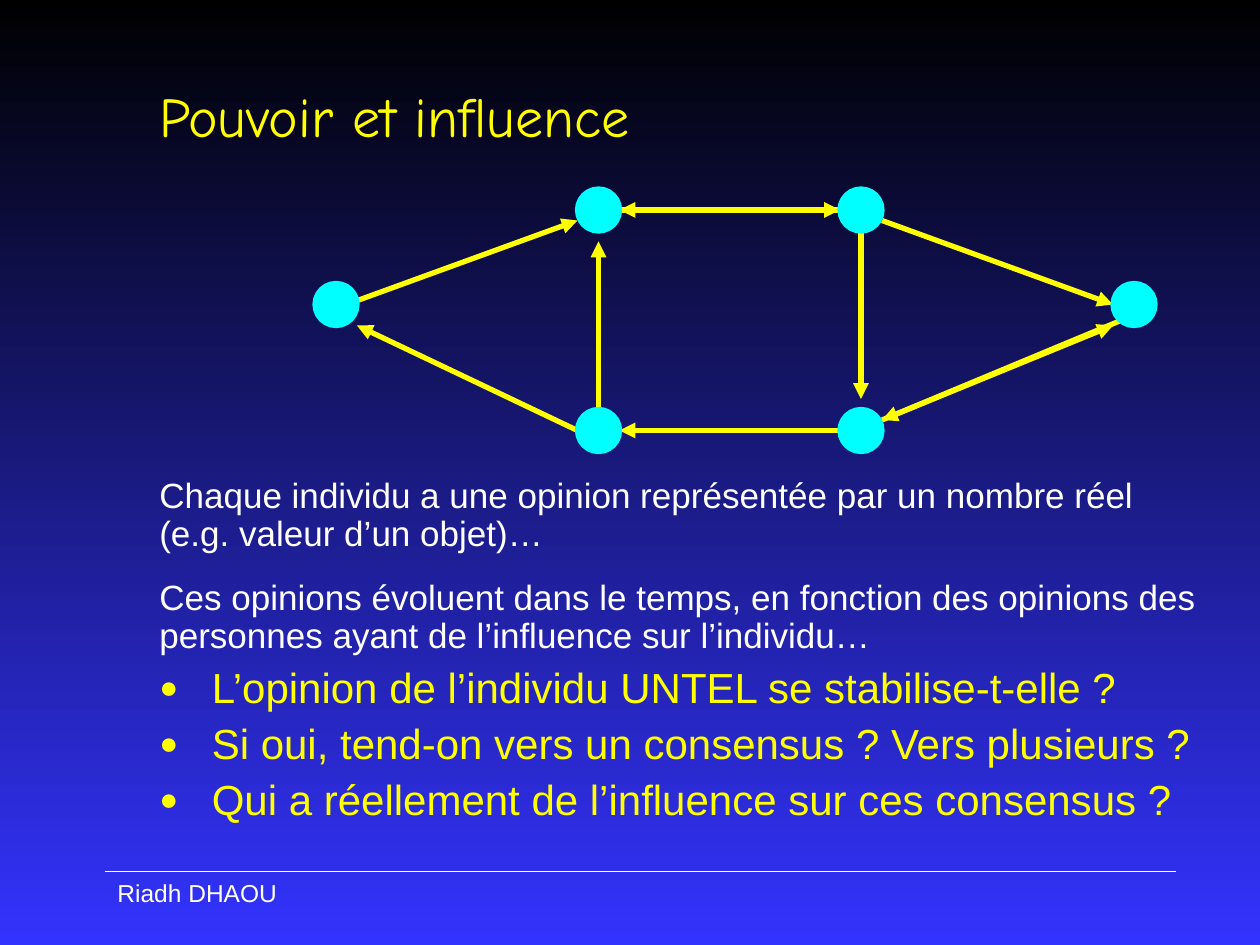
"""Builds the slide on power and influence: an opinion network with its questions."""
from lxml import etree
from pptx import Presentation, util as u
from pptx.dml.color import RGBColor
from pptx.enum import shapes, text
from pptx.oxml import ns

YELLOW, CYAN, WHITE = "FFFF00", "00FFFF", "FFFFFF"
GRADIENT = ("000000", "3333FF")
UNIT = u.Inches(1) / 12
NODE_SIZE = 4
LEFT, WIDTH = 14, 102

TITLE = ["Pouvoir et influence"]
FOOTER = ["Riadh DHAOU"]
OPINIONS = [
    "Chaque individu a une opinion représentée par un nombre réel (e.g. valeur d’un objet)…",
    "Ces opinions évoluent dans le temps, en fonction des opinions des personnes ayant de l’influence sur l’individu…",
]
QUESTIONS = [
    "L’opinion de l’individu UNTEL se stabilise-t-elle ?",
    "Si oui, tend-on vers un consensus ? Vers plusieurs ?",
    "Qui a réellement de l’influence sur ces consensus ?",
]
NODES = [(55, 18), (30, 27), (55, 39), (80, 18), (106, 27), (80, 39)]
INFLUENCES = [
    (33, 29, 55, 21), (58, 20, 80, 20), (82, 20, 59, 20), (82, 22, 82, 38),
    (81, 41, 59, 41), (57, 40, 57, 23), (55, 41, 34, 31), (84, 21, 106, 29),
    (108, 30, 84, 40), (84, 40, 106, 31),
]


def color(value):
    return RGBColor.from_string(value)


def grid(*cells):
    return [round(cell * UNIT) for cell in cells]


def add_child(parent, tag, **attributes):
    return etree.SubElement(parent, ns.qn(tag), attributes)


def add_line(slide, ends, line_color, width, arrow=False):
    connector = slide.shapes.add_connector(shapes.MSO_CONNECTOR.STRAIGHT, *grid(*ends))
    connector.line.color.rgb = color(line_color)
    connector.line.width = u.Pt(width)
    if arrow:
        add_child(connector.line._get_or_add_ln(), "a:tailEnd", type="triangle")
    add_child(connector._element.spPr, "a:effectLst")


def add_node(slide, corner):
    node = slide.shapes.add_shape(
        shapes.MSO_SHAPE.OVAL, *grid(*corner, NODE_SIZE, NODE_SIZE))
    node.shadow.inherit = False
    node.fill.solid()
    node.fill.fore_color.rgb = node.line.color.rgb = color(CYAN)
    node.line.width = u.Pt(3)


def add_bullet(paragraph):
    properties = paragraph._p.get_or_add_pPr()
    indent = round(5 * UNIT)
    properties.set("marL", str(indent))
    properties.set("indent", str(-indent))
    bullet_color = add_child(properties, "a:buClr")
    add_child(bullet_color, "a:srgbClr", val=YELLOW)
    add_child(properties, "a:buSzPct", val="75000")
    add_child(properties, "a:buFont", typeface="Arial")
    add_child(properties, "a:buChar", char="●")


def add_text(slide, place, lines, size, font_color, font="Arial",
             gap=0, spacing=1.0, bullets=False, anchor="TOP"):
    frame = slide.shapes.add_textbox(*grid(*place)).text_frame
    frame.word_wrap = True
    frame.vertical_anchor = text.MSO_ANCHOR[anchor]
    frame.text = "\n".join(lines)
    for index, paragraph in enumerate(frame.paragraphs):
        if bullets:
            add_bullet(paragraph)
        paragraph.line_spacing = spacing
        if index:
            paragraph.space_before = u.Pt(gap)
        for run in paragraph.runs:
            run.font.name = font
            run.font.size = u.Pt(size)
            run.font.color.rgb = color(font_color)


def main():
    presentation = Presentation()
    presentation.slide_width, presentation.slide_height = u.Inches(10), u.Inches(7.5)
    slide = presentation.slides.add_slide(presentation.slide_layouts[6])
    background = slide.background.fill
    background.gradient()
    background.gradient_angle = 270
    for stop, value in zip(background.gradient_stops, GRADIENT):
        stop.color.rgb = color(value)

    add_line(slide, (10, 83, 112, 83), WHITE, 1)
    add_text(slide, (10, 83, 23, 4), FOOTER, 14, WHITE)
    add_text(slide, (LEFT, 5, WIDTH, 12), TITLE, 32, YELLOW, "Comic Neue", anchor="MIDDLE")
    add_text(slide, (LEFT, 45, WIDTH, 19), OPINIONS, 20, WHITE, gap=15, spacing=0.9)
    for influence in INFLUENCES:
        add_line(slide, influence, YELLOW, 3, arrow=True)
    for corner in NODES:
        add_node(slide, corner)
    add_text(slide, (LEFT, 63, WIDTH, 19), QUESTIONS, 24, YELLOW,
             gap=6, spacing=0.9, bullets=True)
    presentation.save("out.pptx")


if __name__ == "__main__":
    main()
